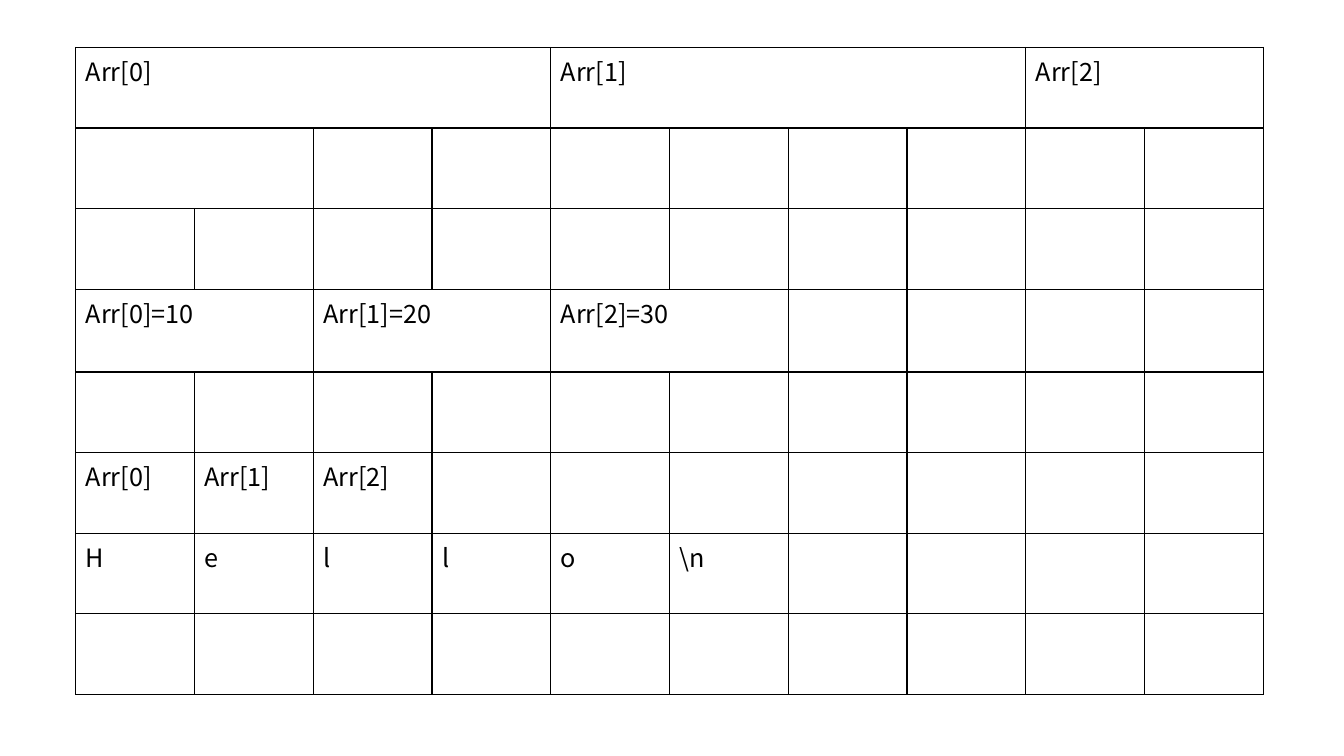
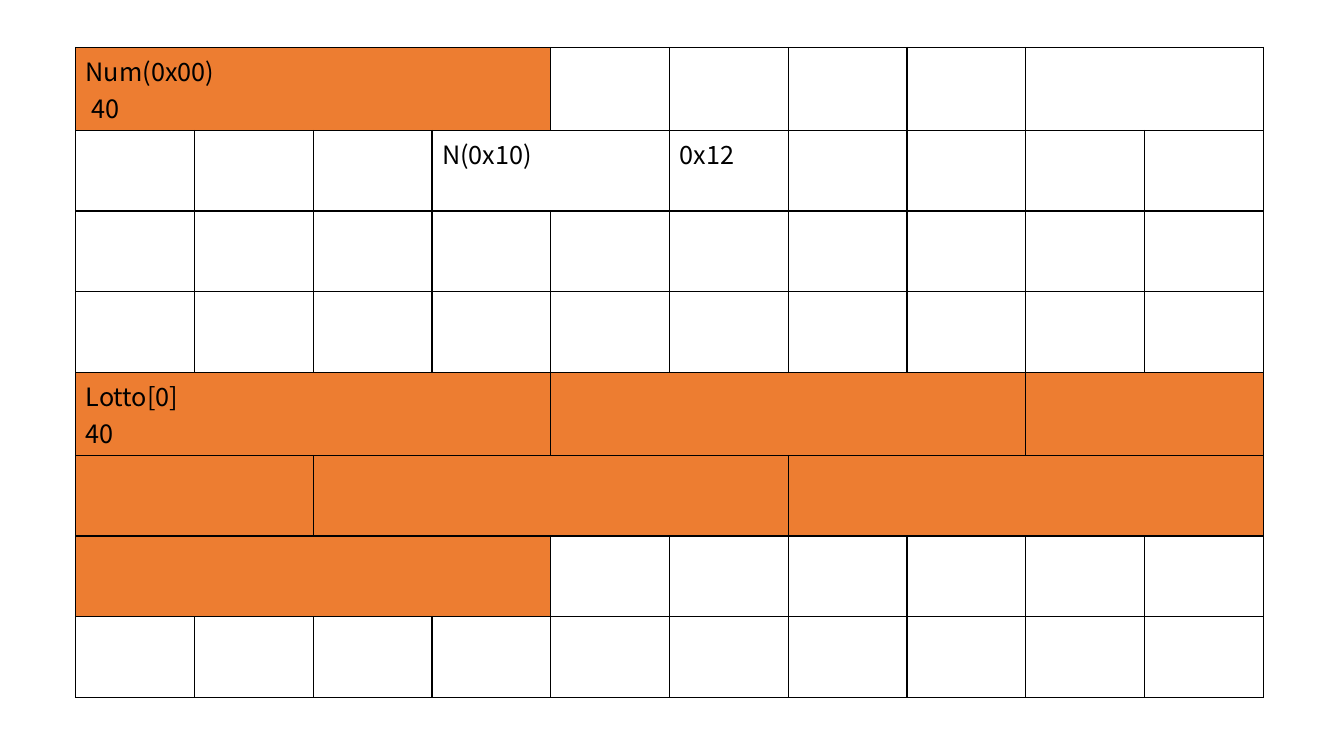
from lxml import etree
from pptx import Presentation
from pptx.dml.color import RGBColor
from pptx.oxml.ns import qn
from pptx.util import Inches, Pt

FONT = "Noto Sans CJK KR"
BLACK = "000000"
ORANGE = "ED7D31"
COLUMNS, ROWS = 10, 8
LEFT, TOP, WIDTH = 0.75, 0.47, 11.78
ROW_HEIGHT, TALL_ROW_HEIGHT = 0.8, 0.82

# Each memory map: its taller rows and its blocks,
# a block being row, column, columns spanned, text, fill
MEMORY_MAPS = [
    ({3}, [
        (0, 0, 4, "Arr[0]", None),
        (0, 4, 4, "Arr[1]", None),
        (0, 8, 2, "Arr[2]", None),
        (1, 0, 2, "", None),
        (3, 0, 2, "Arr[0]=10", None),
        (3, 2, 2, "Arr[1]=20", None),
        (3, 4, 2, "Arr[2]=30", None),
        *[(5, index, 1, f"Arr[{index}]", None) for index in range(3)],
        *[(6, index, 1, letter, None)
          for index, letter in enumerate(["H", "e", "l", "l", "o", "\\n"])],
    ]),
    ({0, 4}, [
        (0, 0, 4, "Num(0x00)\n 40", ORANGE),
        (0, 8, 2, "", None),
        (1, 3, 2, "N(0x10)", None),
        (1, 5, 1, "0x12", None),
        (4, 0, 4, "Lotto[0]\n40", ORANGE),
        (4, 4, 4, "", ORANGE),
        (4, 8, 2, "", ORANGE),
        (5, 0, 2, "", ORANGE),
        (5, 2, 4, "", ORANGE),
        (5, 6, 4, "", ORANGE),
        (6, 0, 4, "", ORANGE),
    ]),
]


def color(hex_string):
    return RGBColor.from_string(hex_string)


def add_borders(cell):
    properties = cell._tc.get_or_add_tcPr()
    for side in ("a:lnL", "a:lnR", "a:lnT", "a:lnB"):
        line = etree.SubElement(properties, qn(side), w=str(Pt(1)))
        fill = etree.SubElement(line, qn("a:solidFill"))
        etree.SubElement(fill, qn("a:srgbClr"), val=BLACK)


deck = Presentation()
deck.slide_width, deck.slide_height = Inches(13.33), Inches(7.5)

for tall_rows, blocks in MEMORY_MAPS:
    page = deck.slides.add_slide(deck.slide_layouts[6])

    # Empty grid
    table = page.shapes.add_table(
        ROWS, COLUMNS, Inches(LEFT), Inches(TOP),
        Inches(WIDTH), Inches(ROWS * ROW_HEIGHT)).table
    table.first_row = table.horz_banding = False
    for index, row in enumerate(table.rows):
        row.height = Inches(TALL_ROW_HEIGHT if index in tall_rows else ROW_HEIGHT)
    for cell in table.iter_cells():
        add_borders(cell)
        cell.fill.background()

    # Memory blocks
    for row, column, span, text, fill in blocks:
        cell = table.cell(row, column)
        if span > 1:
            cell.merge(table.cell(row, column + span - 1))
        if fill:
            cell.fill.solid()
            cell.fill.fore_color.rgb = color(fill)
        cell.text_frame.text = text
        for para in cell.text_frame.paragraphs:
            para.font.size = Pt(18)
            for run in para.runs:
                run.font.name = FONT
                run.font.size = Pt(18)
                run.font.color.rgb = color(BLACK)

deck.save("out.pptx")
